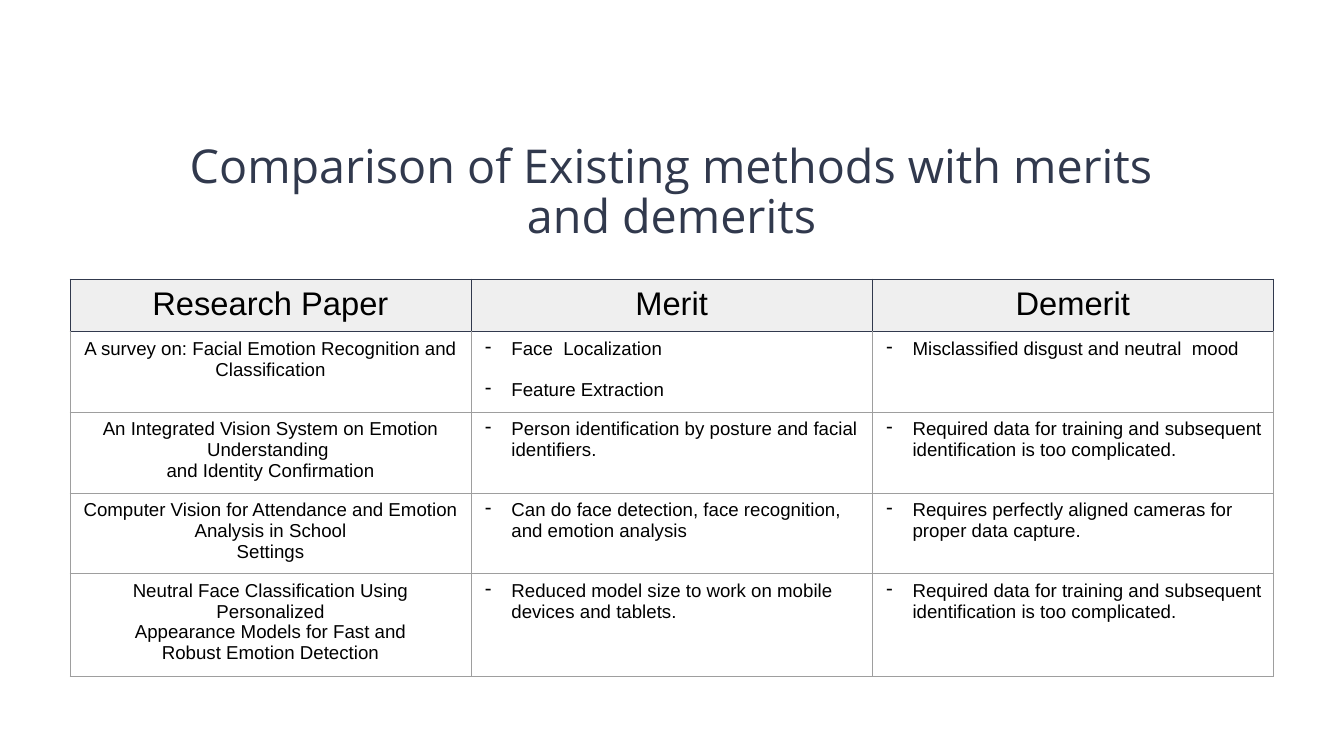
from lxml.etree import SubElement
from pptx import Presentation
from pptx.dml.color import RGBColor
from pptx.enum.text import PP_ALIGN as Align
from pptx.oxml.ns import qn
from pptx.util import Inches, Pt

COLORS = {"title": "31394D", "text": "000000", "header": "EFEFEF", "grid": "9E9E9E"}
WIDTH, HEIGHT = 20, 11.25
TABLE_LEFT, TABLE_TOP, COLUMN_WIDTH = 1.04, 4.15, 5.97
ROW_HEIGHTS = [0.77, 1.2, 1.2, 1.2, 1.53]
TITLE = "Comparison of Existing methods with merits and demerits"
HEADERS = ["Research Paper", "Merit", "Demerit"]
TRAINING_DEMERIT = "Required data for training and subsequent identification is too complicated."
PAPERS = [
    (["A survey on: Facial Emotion Recognition and Classification"],
     ["Face  Localization", "Feature Extraction"],
     ["Misclassified disgust and neutral  mood "]),
    (["An Integrated Vision System on Emotion Understanding ", "and Identity Confirmation"],
     ["Person identification by posture and facial identifiers."],
     [TRAINING_DEMERIT]),
    (["Computer Vision for Attendance and Emotion Analysis in School", "Settings"],
     ["Can do face detection, face recognition, and emotion analysis"],
     ["Requires perfectly aligned cameras for proper data capture."]),
    (["Neutral Face Classification Using Personalized", "Appearance Models for Fast and",
      "Robust Emotion Detection"],
     ["Reduced model size to work on mobile devices and tablets. "],
     [TRAINING_DEMERIT]),
]


def style_paragraph(paragraph, text, size, color, font="Arial", align=Align.CENTER):
    paragraph.text = text
    paragraph.alignment = align
    paragraph.font.name = font
    paragraph.font.size = Pt(size)
    paragraph.font.color.rgb = RGBColor.from_string(COLORS[color])


def add_dash(paragraph):
    properties = paragraph._p.get_or_add_pPr()
    properties.set("marL", str(Inches(0.5)))
    properties.set("indent", str(Inches(-0.39)))
    dash = SubElement(properties, qn("a:buChar"), char="-")
    properties.remove(dash)
    properties.insert_element_before(dash, "a:tabLst", "a:defRPr", "a:extLst")


def set_borders(cell, side_colors):
    properties = cell._tc.get_or_add_tcPr()
    for index, (side, color) in enumerate(side_colors.items()):
        line = SubElement(properties, qn(f"a:ln{side}"), w=str(Pt(0.75)))
        fill = SubElement(line, qn("a:solidFill"))
        SubElement(fill, qn("a:srgbClr"), val=COLORS[color])
        properties.insert(index, line)


def fill_cell(cell, lines, size, bulleted=False):
    cell.margin_left = cell.margin_right = Inches(0.1)
    cell.margin_top = cell.margin_bottom = Inches(0.1)
    frame = cell.text_frame
    for index, line in enumerate(lines):
        paragraph = frame.add_paragraph() if index else frame.paragraphs[0]
        style_paragraph(paragraph, line, size, "text",
                        align=Align.LEFT if bulleted else Align.CENTER)
        if bulleted:
            paragraph.space_before = Pt(22 if index else 0)
            add_dash(paragraph)


def add_title(slide):
    box = slide.shapes.add_textbox(*map(Inches, (2.32, 2.12, 15.35, 1.7)))
    frame = box.text_frame
    frame.word_wrap = True
    frame.margin_left = frame.margin_right = frame.margin_bottom = 0
    frame.margin_top = Inches(0.01)
    paragraph = frame.paragraphs[0]
    style_paragraph(paragraph, TITLE, 50, "title", "Open Sans")
    paragraph.line_spacing = 0.9


def add_comparison(slide):
    bounds = (TABLE_LEFT, TABLE_TOP, COLUMN_WIDTH * len(HEADERS), sum(ROW_HEIGHTS))
    table = slide.shapes.add_table(len(ROW_HEIGHTS), len(HEADERS), *map(Inches, bounds)).table
    table.first_row = table.horz_banding = False
    for column in table.columns:
        column.width = Inches(COLUMN_WIDTH)
    for row, height in zip(table.rows, ROW_HEIGHTS):
        row.height = Inches(height)
    rows = [[[header] for header in HEADERS], *PAPERS]
    for row_index, row in enumerate(rows):
        is_header = row_index == 0
        for column_index, lines in enumerate(row):
            cell = table.cell(row_index, column_index)
            fill_cell(cell, lines, 35 if is_header else 20,
                      bulleted=not is_header and column_index > 0)
            if is_header:
                cell.fill.solid()
                cell.fill.fore_color.rgb = RGBColor.from_string(COLORS["header"])
            else:
                cell.fill.background()
            sides = dict.fromkeys("LRTB", "title" if is_header else "grid")
            if row_index == 1:
                sides["T"] = "title"
            set_borders(cell, sides)


def main():
    """Build the slide comparing emotion recognition papers."""
    presentation = Presentation()
    presentation.slide_width, presentation.slide_height = Inches(WIDTH), Inches(HEIGHT)
    slide = presentation.slides.add_slide(presentation.slide_layouts[6])
    add_title(slide)
    add_comparison(slide)
    presentation.save("out.pptx")


main()
